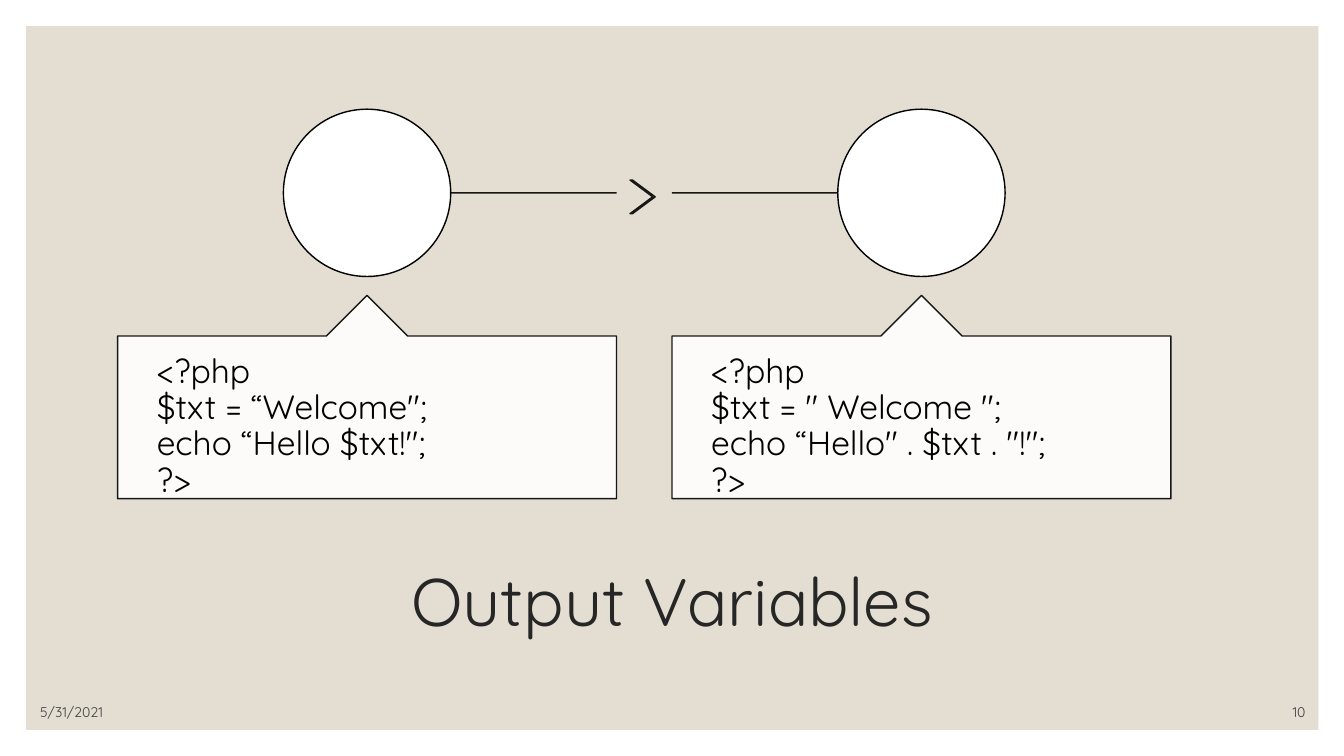
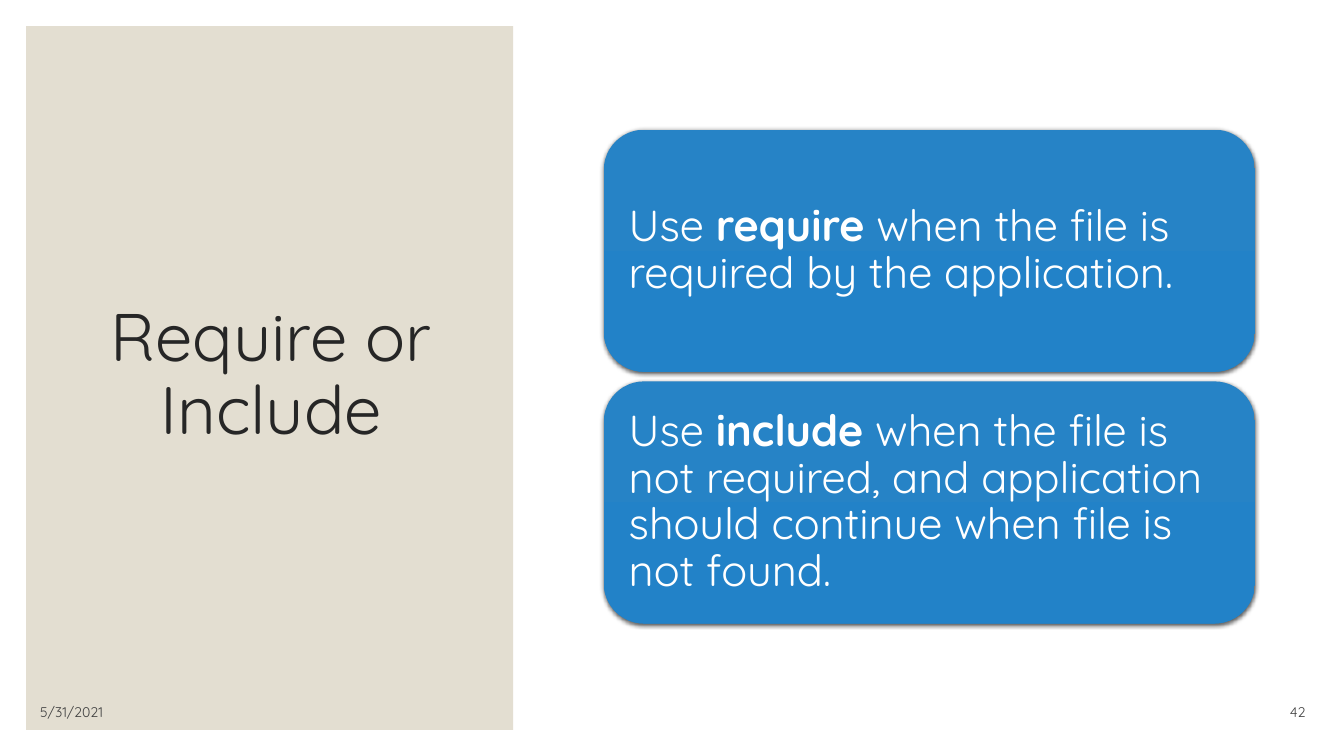
"""Build two slides about PHP output variables and file inclusion."""
from dataclasses import dataclass

from lxml.etree import SubElement
from pptx import Presentation
from pptx.dml.color import RGBColor
from pptx.enum.shapes import MSO_CONNECTOR, MSO_SHAPE as Preset
from pptx.enum.text import MSO_ANCHOR as Anchor, PP_ALIGN as Align
from pptx.oxml.ns import qn
from pptx.util import Pt

FONT = "Quicksand"
SAND = RGBColor(0xE3, 0xDE, 0xD1)
WHITE = RGBColor(0xFF, 0xFF, 0xFF)
BLACK = RGBColor(0x00, 0x00, 0x00)
TITLE_GREY = RGBColor(0x26, 0x26, 0x26)
FOOTER_GREY = RGBColor(0x40, 0x40, 0x40)
CARD_TOP = RGBColor(0x26, 0x83, 0xC6)
CARD_BOTTOM = RGBColor(0x22, 0x82, 0xC8)

PANEL_EDGE = 18.7
PANEL_HEIGHT = 502.6
DATE = "5/31/2021"


@dataclass(frozen=True)
class Box:
    left: float
    top: float
    width: float
    height: float

    def points(self) -> tuple:
        return Pt(self.left), Pt(self.top), Pt(self.width), Pt(self.height)


@dataclass(frozen=True)
class TextStyle:
    size: float
    color: RGBColor
    align: Align = Align.LEFT
    anchor: Anchor = Anchor.MIDDLE
    spacing: float = 0.9
    insets: tuple = (7.2, 3.6, 7.2, 3.6)


@dataclass(frozen=True)
class Card:
    before: str
    keyword: str
    after: str


TITLE = TextStyle(48, TITLE_GREY, Align.CENTER)
DATE_STYLE = TextStyle(10, FOOTER_GREY, Align.LEFT, Anchor.BOTTOM, 1.0)
NUMBER_STYLE = TextStyle(10, FOOTER_GREY, Align.RIGHT, Anchor.BOTTOM, 1.0)
CODE = TextStyle(24, BLACK, anchor=Anchor.TOP, insets=(28, 13, 28, 0))
CARD_STYLE = TextStyle(31, WHITE, insets=(9.4, 9.4, 9.4, 9.4))

SNIPPETS = (
    ("<?php", "$txt = “Welcome\";", "echo “Hello $txt!\";", "?>"),
    ("<?php", "$txt = \" Welcome \";", "echo “Hello\" . $txt . \"!\";", "?>"),
)
CARDS = (
    Card("Use ", "require", " when the file is required by the application."),
    Card("Use ", "include", " when the file is not required, and application "
         "should continue when file is not found."),
)


def start_text(shape, style: TextStyle):
    frame = shape.text_frame
    frame.word_wrap = True
    frame.vertical_anchor = style.anchor
    (frame.margin_left, frame.margin_top,
     frame.margin_right, frame.margin_bottom) = map(Pt, style.insets)
    para = frame.paragraphs[0]
    para.alignment = style.align
    para.line_spacing = style.spacing
    return para


def add_span(para, text: str, style: TextStyle, bold: bool = False) -> None:
    span = para.add_run()
    span.text = text
    font = span.font
    font.name, font.size, font.bold = FONT, Pt(style.size), bold
    font.color.rgb = style.color


def add_label(page, box: Box, text: str, style: TextStyle) -> None:
    label = page.shapes.add_textbox(*box.points())
    add_span(start_text(label, style), text, style)


def add_shape(page, preset: Preset, box: Box, fill: RGBColor, line: RGBColor | None = None):
    shape = page.shapes.add_shape(preset, *box.points())
    shape.shadow.inherit = False
    shape.fill.solid()
    shape.fill.fore_color.rgb = fill
    if line is None:
        shape.line.fill.background()
    else:
        shape.line.color.rgb = line
        shape.line.width = Pt(1)
    return shape


def soften(shape) -> None:
    for color in shape._element.spPr.iter(qn("a:srgbClr")):
        SubElement(color, qn("a:alpha"), val="90000")


def add_line(page, start: float, end: float, height: float) -> None:
    line = page.shapes.add_connector(
        MSO_CONNECTOR.STRAIGHT, Pt(start), Pt(height), Pt(end), Pt(height))
    line.line.color.rgb = BLACK
    line.line.width = Pt(1)
    SubElement(line._element.spPr, qn("a:effectLst"))
    soften(line)


def add_page(deck, number: int, panel_width: float, title: str, title_box: Box):
    page = deck.slides.add_slide(deck.slide_layouts[6])
    panel = Box(PANEL_EDGE, PANEL_EDGE, panel_width, PANEL_HEIGHT)
    add_shape(page, Preset.RECTANGLE, panel, SAND)
    add_label(page, title_box, title, TITLE)
    add_label(page, Box(21.6, 496.8, 216, 21.6), DATE, DATE_STYLE)
    add_label(page, Box(824.4, 496.8, 115.2, 21.6), str(number), NUMBER_STYLE)
    return page


def add_snippet(page, left: float, width: float, lines: tuple) -> None:
    diameter = 119.5
    circle = Box(left + (width - diameter) / 2, 78, diameter, diameter)
    add_shape(page, Preset.OVAL, circle, WHITE, BLACK)
    callout = add_shape(page, Preset.UP_ARROW_CALLOUT,
                        Box(left, 211, width, 145.2), WHITE, BLACK)
    for index, value in enumerate((0.5, 0.2, 0.2, 1)):
        callout.adjustments[index] = value
    soften(callout)
    para = start_text(callout, CODE)
    for index, text in enumerate(lines):
        if index:
            para.add_line_break()
        add_span(para, text, CODE)


def add_output_page(deck) -> None:
    page = add_page(deck, 10, 923, "Output Variables", Box(84, 378, 792, 108))
    left, width, step, radius, middle = 84, 356.4, 396, 59.75, 137.75
    add_line(page, left + width / 2 + radius, left + width, middle)
    add_line(page, left + step, left + step + width / 2 - radius, middle)
    chevron = add_shape(page, Preset.CHEVRON, Box(450, 128.6, 18, 24), WHITE, BLACK)
    chevron.adjustments[0] = 0.9
    soften(chevron)
    for index, lines in enumerate(SNIPPETS):
        add_snippet(page, left + index * step, width, lines)


def add_card(page, box: Box, card: Card) -> None:
    shape = add_shape(page, Preset.ROUNDED_RECTANGLE, box, CARD_TOP)
    shape.fill.gradient()
    shape.fill.gradient_angle = 270
    for stop, color in zip(shape.fill.gradient_stops, (CARD_TOP, CARD_BOTTOM)):
        stop.color.rgb = color
    effects = shape._element.spPr.find(qn("a:effectLst"))
    shadow = SubElement(effects, qn("a:outerShdw"), blurRad=str(Pt(3)),
                        dist=str(Pt(1)), dir="5400000", rotWithShape="0")
    color = SubElement(shadow, qn("a:srgbClr"), val=str(BLACK))
    SubElement(color, qn("a:alpha"), val="63000")
    para = start_text(shape, CARD_STYLE)
    add_span(para, card.before, CARD_STYLE)
    add_span(para, card.keyword, CARD_STYLE, bold=True)
    add_span(para, card.after, CARD_STYLE)


def add_include_page(deck) -> None:
    page = add_page(deck, 42, 347.8, "Require or Include", Box(45.4, 44, 296.6, 449.2))
    for index, card in enumerate(CARDS):
        add_card(page, Box(431.3, 92.6 + index * 179.8, 465.1, 173), card)


def main() -> None:
    deck = Presentation()
    deck.slide_width, deck.slide_height = Pt(960), Pt(540)
    add_output_page(deck)
    add_include_page(deck)
    deck.save("out.pptx")


if __name__ == "__main__":
    main()
